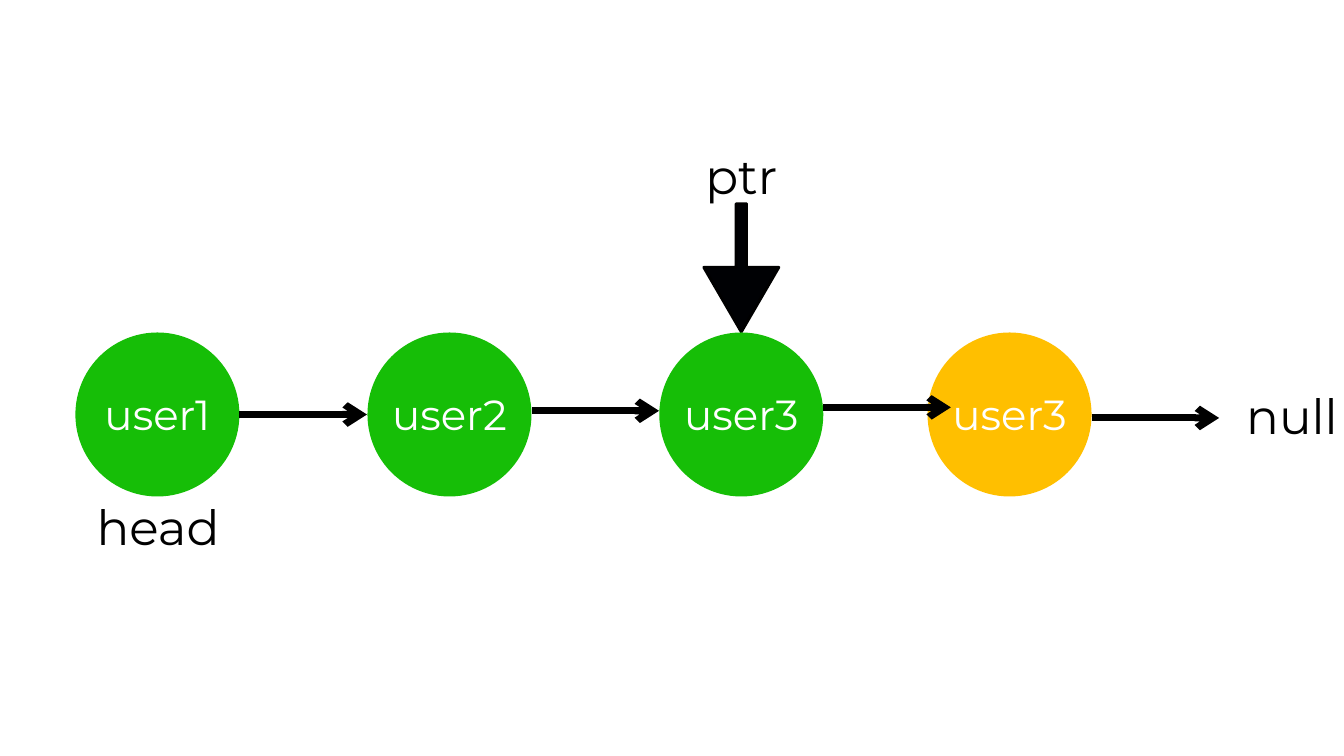
from lxml import etree
from pptx import Presentation
from pptx.dml.color import RGBColor
from pptx.enum.shapes import MSO_CONNECTOR, MSO_SHAPE
from pptx.enum.text import MSO_ANCHOR, PP_ALIGN
from pptx.oxml.ns import qn
from pptx.util import Cm, Pt

OVAL, DOWN_ARROW = MSO_SHAPE.OVAL, MSO_SHAPE.DOWN_ARROW
STRAIGHT = MSO_CONNECTOR.STRAIGHT
TOP, MIDDLE = MSO_ANCHOR.TOP, MSO_ANCHOR.MIDDLE
CENTER = PP_ALIGN.CENTER

GREEN, AMBER, WHITE, BLACK, INK = "16BE07", "FFBF00", "FFFFFF", "000000", "000104"
NODE_TOP, NODE_SIZE, LINK_LENGTH = 12.57, 6.2, 4.82

NODES = [
    ("user1", 2.85, GREEN, 15.67),
    ("user2", 13.89, GREEN, 15.53),
    ("user3", 24.92, GREEN, 15.4),
    ("user3", 35.06, AMBER, 15.8),
]
LABELS = [
    ("ptr", 26.6, 5.56, 2.84),
    ("head", 3.56, 18.82, 4.83),
    ("null", 47.02, 14.63, 3.63),
]


def color(value):
    return RGBColor.from_string(value)


def write(shape, text, size, fill, spacing, anchor=TOP, wrap=True):
    frame = shape.text_frame
    frame.word_wrap = wrap
    frame.vertical_anchor = anchor
    frame.margin_left = frame.margin_right = 0
    frame.margin_top = frame.margin_bottom = 0
    paragraph = frame.paragraphs[0]
    paragraph.text = text
    paragraph.alignment = CENTER
    paragraph.line_spacing = Pt(spacing)
    paragraph.font.name = "Montserrat"
    paragraph.font.size = Pt(size)
    paragraph.font.color.rgb = color(fill)


def add_filled(slide, preset, left, top, width, height, fill):
    shape = slide.shapes.add_shape(preset, Cm(left), Cm(top), Cm(width), Cm(height))
    shape.shadow.inherit = False
    shape.fill.solid()
    shape.fill.fore_color.rgb = color(fill)
    return shape


def add_pointer(slide, center, top, width, height):
    pointer = add_filled(slide, DOWN_ARROW, center - width / 2, top, width, height, INK)
    pointer.adjustments[0] = 0.14
    pointer.adjustments[1] = 0.86
    pointer.line.color.rgb = color(BLACK)
    pointer.line.width = Pt(3)


def add_node(slide, name, left, fill):
    node = add_filled(slide, OVAL, left, NODE_TOP, NODE_SIZE, NODE_SIZE, fill)
    node.line.fill.background()
    write(node, name, 45, WHITE, 53.1, anchor=MIDDLE, wrap=False)


def add_link(slide, left, y):
    link = slide.shapes.add_connector(
        STRAIGHT, Cm(left), Cm(y), Cm(left + LINK_LENGTH), Cm(y))
    link.line.color.rgb = color(BLACK)
    link.line.width = Pt(7.5)
    etree.SubElement(link.line._get_or_add_ln(), qn("a:tailEnd"), type="arrow")
    etree.SubElement(link._element.spPr, qn("a:effectLst"))


def main():
    deck = Presentation()
    deck.slide_width, deck.slide_height = Cm(50.8), Cm(28.58)
    slide = deck.slides.add_slide(deck.slide_layouts[6])

    pointed_left = NODES[2][1]
    add_pointer(slide, pointed_left + NODE_SIZE / 2, 7.7, 2.84, 4.85)
    for name, left, fill, _ in NODES:
        add_node(slide, name, left, fill)
    for _, left, _, link_y in NODES:
        add_link(slide, left + NODE_SIZE, link_y)
    for text, left, top, width in LABELS:
        label = slide.shapes.add_textbox(Cm(left), Cm(top), Cm(width), Cm(2.13))
        write(label, text, 52, BLACK, 61.4)

    deck.save("out.pptx")


if __name__ == "__main__":
    main()
